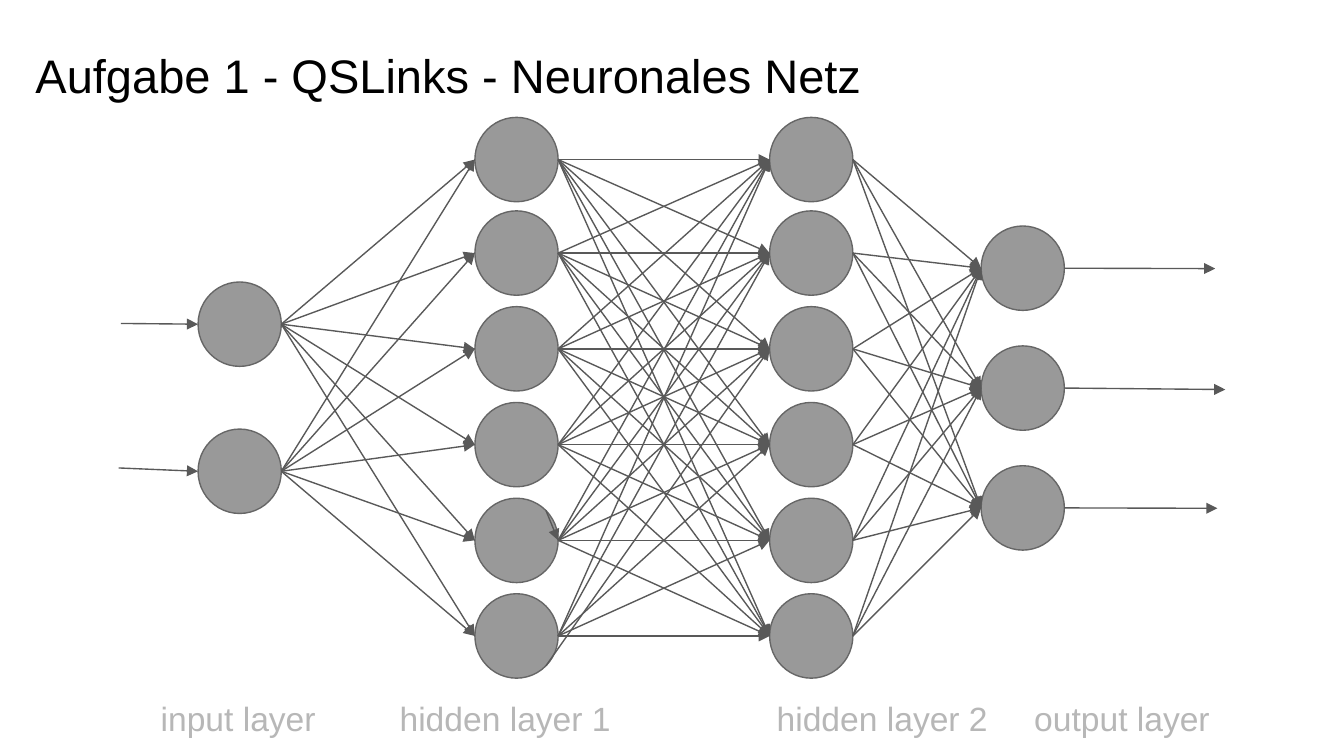
from itertools import product

from lxml.etree import SubElement
from pptx import Presentation
from pptx.dml.color import RGBColor
from pptx.enum.shapes import MSO_CONNECTOR, MSO_SHAPE
from pptx.enum.text import MSO_ANCHOR
from pptx.oxml.ns import qn
from pptx.util import Pt

BLACK = RGBColor(0x00, 0x00, 0x00)
LABEL_GRAY = RGBColor(0xB7, 0xB7, 0xB7)
NODE_FILL = RGBColor(0x99, 0x99, 0x99)
NODE_LINE = RGBColor(0x66, 0x66, 0x66)
EDGE = RGBColor(0x59, 0x59, 0x59)

NODE_W, NODE_H = 44.6, 45.2
HIDDEN_Y = [85.5, 135.6, 186.9, 238.2, 289.5, 340.7]
LAYERS = [
    (106.1, [173.7, 252.5]),
    (254.4, HIDDEN_Y),
    (412.3, HIDDEN_Y),
    (525.6, [143.7, 207.9, 272.1]),
]
INPUT_STARTS = [(64.8, 173.3), (63.6, 250.7)]
OUTPUT_ENDS = [(651, 143.9), (656.4, 208.7), (652.2, 272.3)]
LABELS = ["input layer", "hidden layer 1", "hidden layer 2", "output layer"]
LABEL_STOPS = [50.2, 178.2, 380.2, 518.2]


class Deck:
    font = "Arial"
    line_width = Pt(0.75)

    def __init__(self, width, height):
        self.prs = Presentation()
        self.prs.slide_width, self.prs.slide_height = Pt(width), Pt(height)
        self.s = self.prs.slides.add_slide(self.prs.slide_layouts[6])

    def text(self, x, y, w, h, text, size, color, anchor=MSO_ANCHOR.TOP):
        sp = self.s.shapes.add_textbox(Pt(x), Pt(y), Pt(w), Pt(h))
        tf = sp.text_frame
        tf.word_wrap = True
        tf.vertical_anchor = anchor
        tf.margin_left = tf.margin_right = Pt(7.2)
        tf.margin_top = tf.margin_bottom = Pt(7.2)
        tf.text = text
        p = tf.paragraphs[0]
        for r in p.runs:
            r.font.name = self.font
            r.font.size = Pt(size)
            r.font.color.rgb = color
        return p

    def tabbed_text(self, x, y, w, h, items, stops, size, color):
        p = self.text(x, y, w, h, "\t" + "\t".join(items), size, color)
        p.line_spacing = 1.15
        p.space_after = Pt(12)
        tabs = SubElement(p._p.get_or_add_pPr(), qn("a:tabLst"))
        for stop in stops:
            SubElement(tabs, qn("a:tab"), pos=str(Pt(stop)), algn="l")

    def node(self, x, center_y):
        sp = self.s.shapes.add_shape(
            MSO_SHAPE.OVAL, Pt(x), Pt(center_y - NODE_H / 2), Pt(NODE_W), Pt(NODE_H))
        sp.shadow.inherit = False
        sp.fill.solid()
        sp.fill.fore_color.rgb = NODE_FILL
        sp.line.color.rgb = NODE_LINE
        sp.line.width = self.line_width

    def arrow(self, start, end):
        points = [Pt(v) for v in (*start, *end)]
        sp = self.s.shapes.add_connector(MSO_CONNECTOR.STRAIGHT, *points)
        sp.line.color.rgb = EDGE
        sp.line.width = self.line_width
        SubElement(sp.line._get_or_add_ln(), qn("a:tailEnd"), type="triangle")
        SubElement(sp._element.spPr, qn("a:effectLst"))


def main():
    deck = Deck(720, 405)
    deck.text(11.9, 17, 671.04, 45.36, "Aufgabe 1 - QSLinks - Neuronales Netz",
              25.2, BLACK, MSO_ANCHOR.BOTTOM)
    deck.tabbed_text(28.8, 363.3, 746.64, 61.92, LABELS, LABEL_STOPS, 18, LABEL_GRAY)

    for x, centers in LAYERS:
        for y in centers:
            deck.node(x, y)

    hidden_right = LAYERS[1][0] + NODE_W
    lower_rim = hidden_right - 6.5, HIDDEN_Y[5] + 16
    upper_rim = hidden_right - 6.5, HIDDEN_Y[4] - 16
    rim_starts = {((hidden_right, HIDDEN_Y[5]), HIDDEN_Y[2]): lower_rim}
    for (x1, sources), (x2, targets) in zip(LAYERS, LAYERS[1:]):
        for y1, y2 in product(sources, targets):
            start = x1 + NODE_W, y1
            deck.arrow(rim_starts.get((start, y2), start), (x2, y2))
    deck.arrow(upper_rim, (hidden_right, HIDDEN_Y[4]))

    input_x, input_y = LAYERS[0]
    for start, y in zip(INPUT_STARTS, input_y):
        deck.arrow(start, (input_x, y))
    output_x, output_y = LAYERS[-1]
    for y, end in zip(output_y, OUTPUT_ENDS):
        deck.arrow((output_x + NODE_W, y), end)

    deck.prs.save("out.pptx")


if __name__ == "__main__":
    main()
